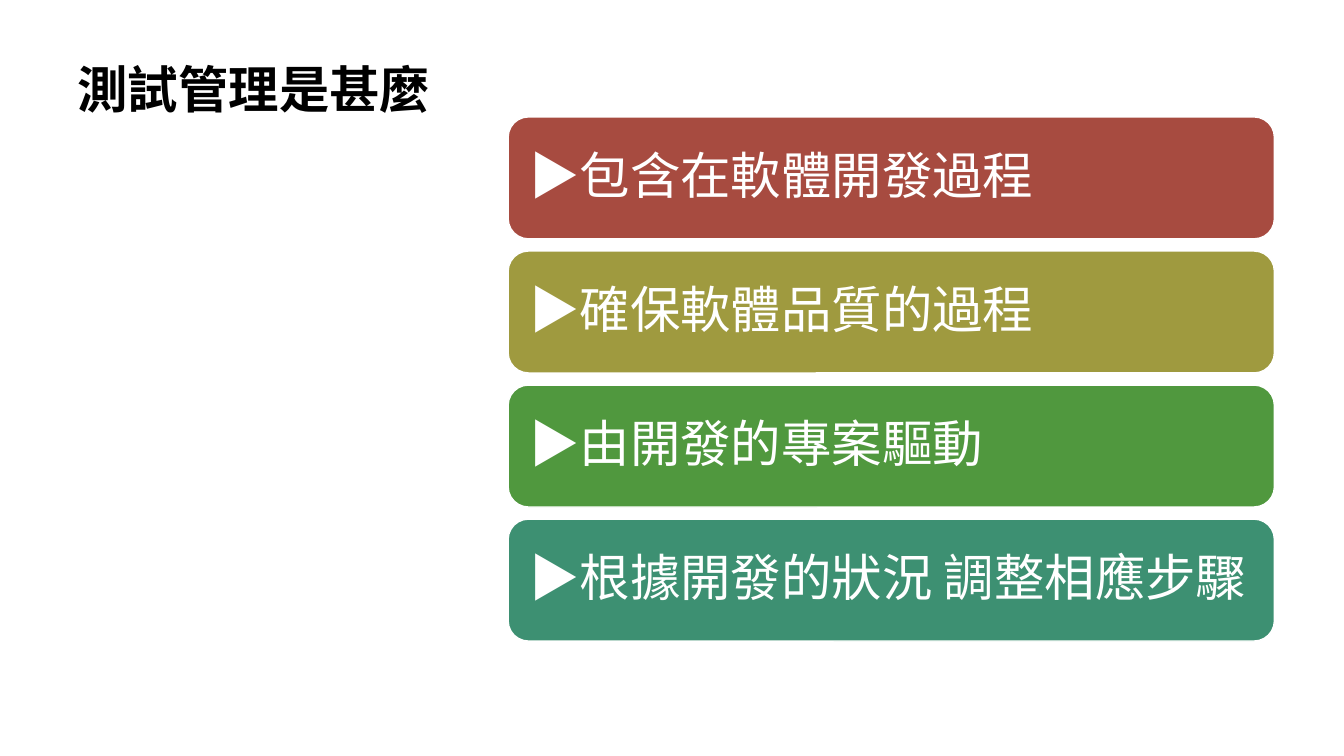
from dataclasses import dataclass

from pptx import Presentation
from pptx.dml.color import RGBColor
from pptx.enum.shapes import MSO_SHAPE
from pptx.enum.text import MSO_ANCHOR, PP_ALIGN
from pptx.slide import Slide
from pptx.text.text import TextFrame
from pptx.util import Inches, Pt

FONT = "Lato"
WHITE = "FFFFFF"
BLACK = "000000"
BAR_LEFT, BAR_TOP, BAR_WIDTH, BAR_HEIGHT = 5.04, 1.16, 7.6, 1.21
BAR_PITCH = 1.33


@dataclass(frozen=True)
class Bar:
    text: str
    fill: str


BARS = [
    Bar("▶包含在軟體開發過程", "A74B40"),
    Bar("▶確保軟體品質的過程", "9F9A3F"),
    Bar("▶由開發的專案驅動", "50983E"),
    Bar("▶根據開發的狀況 調整相應步驟", "3D9072"),
]


def color(value: str) -> RGBColor:
    return RGBColor.from_string(value)


def write_line(frame: TextFrame, text: str, hue: str, bold: bool = False) -> None:
    frame.word_wrap = True
    para = frame.paragraphs[0]
    para.alignment = PP_ALIGN.LEFT
    para.line_spacing = 0.9
    span = para.add_run()
    span.text = text
    span.font.name = FONT
    span.font.size = Pt(36)
    span.font.bold = bold
    span.font.color.rgb = color(hue)


def draw_title(page: Slide, text: str) -> None:
    box = page.shapes.add_textbox(Inches(0.67), Inches(0.6), Inches(3.82), Inches(6.33))
    write_line(box.text_frame, text, BLACK, bold=True)


def draw_bar(page: Slide, bar: Bar, top: float) -> None:
    box = page.shapes.add_shape(
        MSO_SHAPE.ROUNDED_RECTANGLE,
        Inches(BAR_LEFT), Inches(top), Inches(BAR_WIDTH), Inches(BAR_HEIGHT),
    )
    box.shadow.inherit = False
    box.fill.solid()
    box.fill.fore_color.rgb = color(bar.fill)
    box.line.color.rgb = color(WHITE)
    box.line.width = Pt(1)
    frame = box.text_frame
    frame.vertical_anchor = MSO_ANCHOR.MIDDLE
    frame.margin_left = frame.margin_right = Inches(0.15)
    frame.margin_top = frame.margin_bottom = Inches(0.15)
    write_line(frame, bar.text, WHITE)


def main() -> None:
    deck = Presentation()
    deck.slide_width, deck.slide_height = Inches(13.33), Inches(7.5)
    page = deck.slides.add_slide(deck.slide_layouts[6])
    draw_title(page, "測試管理是甚麼")
    for index, bar in enumerate(BARS):
        draw_bar(page, bar, BAR_TOP + index * BAR_PITCH)
    deck.save("out.pptx")


if __name__ == "__main__":
    main()
